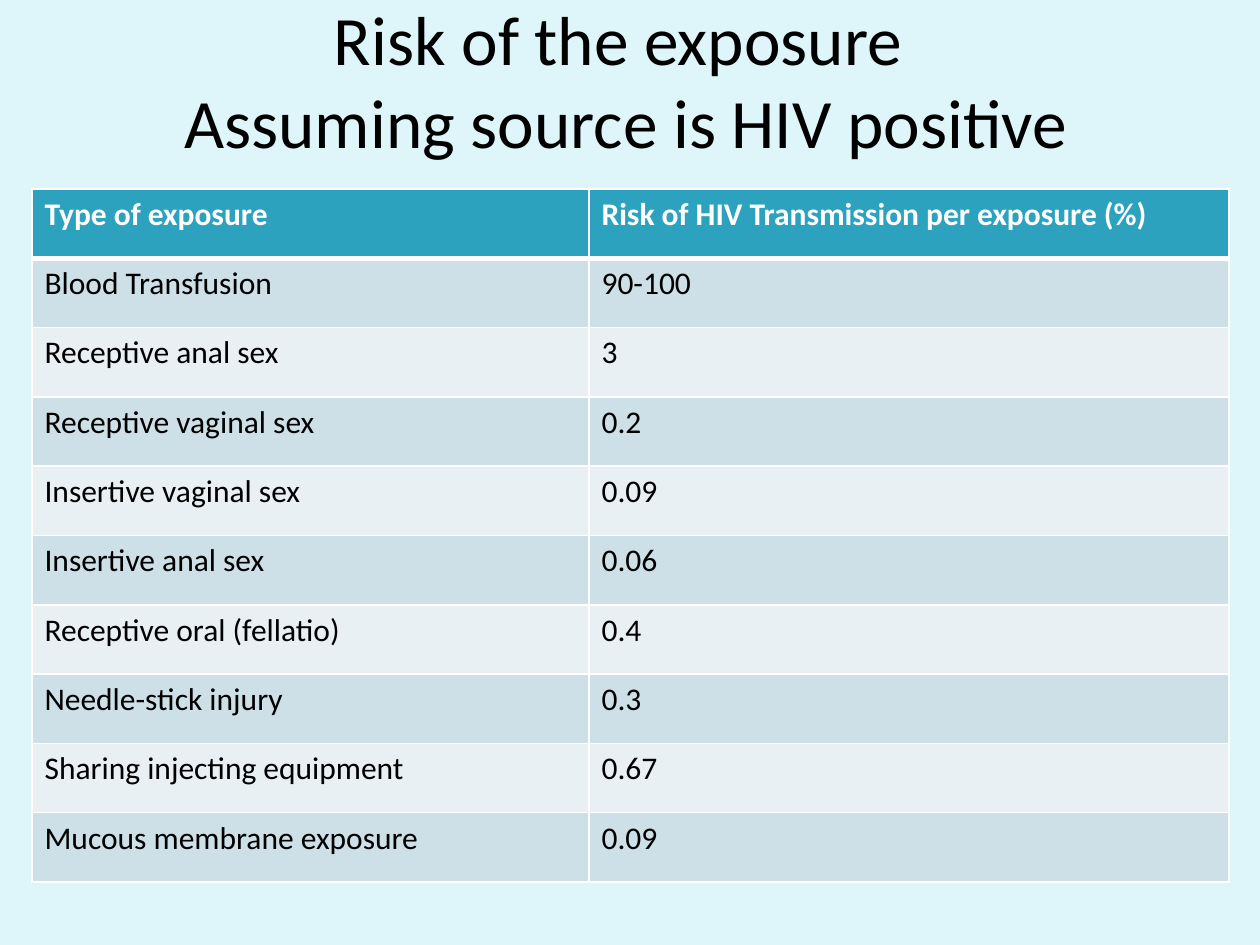
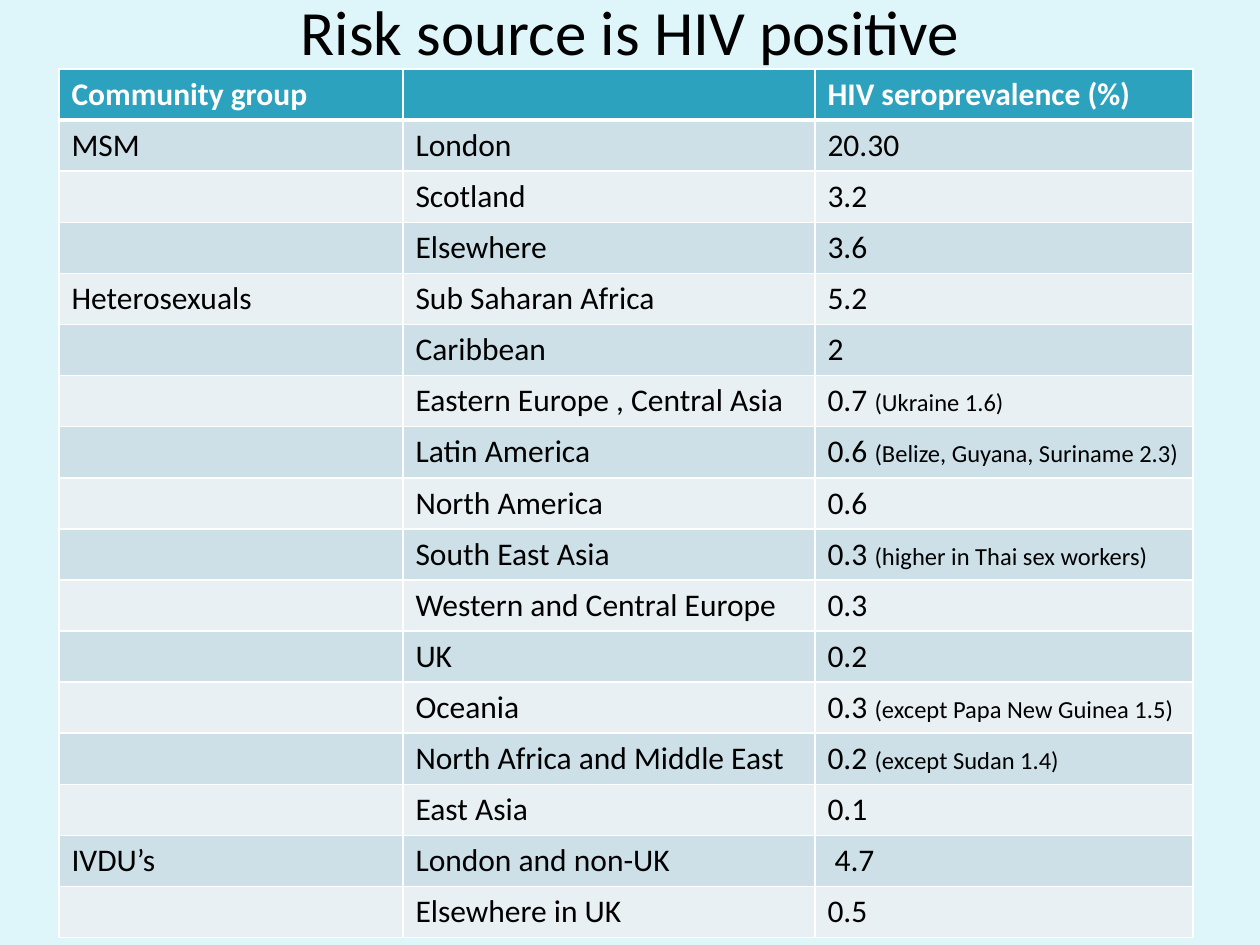
from lxml.etree import SubElement
from pptx import Presentation
from pptx.dml.color import RGBColor
from pptx.enum.text import MSO_ANCHOR, MSO_AUTO_SIZE, PP_ALIGN
from pptx.oxml.ns import qn
from pptx.util import Emu, Pt

FONT = "Calibri"
COLORS = {
    "background": "DEF5FA",
    "header": "2DA2BF",
    "odd_row": "CDE0E8",
    "even_row": "E8F0F4",
    "border": "FFFFFF",
    "header_text": "FFFFFF",
    "text": "000000",
}
CELL_SIZE, NOTE_SIZE = 18, 14
THIN, THICK = 1, 3

SLIDES = [
    {
        "title": ["Risk of the exposure ", "Assuming source is HIV positive"],
        "title_size": 39.6,
        "title_box": (59, 0, 1134, 158),
        "table_at": (32, 189),
        "table_height": 693,
        "columns": [557, 640],
        "rows": [
            ("Type of exposure", "Risk of HIV Transmission per exposure (%)"),
            ("Blood Transfusion", "90-100"),
            ("Receptive anal sex", "3"),
            ("Receptive vaginal sex", "0.2"),
            ("Insertive vaginal sex", "0.09"),
            ("Insertive anal sex", "0.06"),
            ("Receptive oral (fellatio)", "0.4"),
            ("Needle-stick injury", "0.3"),
            ("Sharing injecting equipment", "0.67"),
            ("Mucous membrane exposure", "0.09"),
        ],
    },
    {
        "title": ["Risk source is HIV positive"],
        "title_size": 36,
        "title_box": (63, -49, 1134, 158),
        "table_at": (59, 69),
        "table_height": 868,
        "columns": [344, 412, 378],
        "rows": [
            ("Community group", "", "HIV seroprevalence (%)"),
            ("MSM", "London", "20.30"),
            ("", "Scotland", "3.2"),
            ("", "Elsewhere", "3.6"),
            ("Heterosexuals", "Sub Saharan Africa", "5.2"),
            ("", "Caribbean", "2"),
            ("", "Eastern Europe , Central Asia", ("0.7 ", "(Ukraine 1.6)")),
            ("", "Latin America", ("0.6 ", "(Belize, Guyana, Suriname 2.3)")),
            ("", "North America", "0.6"),
            ("", "South East Asia", ("0.3 ", "(higher in Thai sex workers)")),
            ("", "Western and Central Europe", "0.3"),
            ("", "UK", "0.2"),
            ("", "Oceania", ("0.3 ", "(except Papa New Guinea 1.5)")),
            ("", "North Africa and Middle East", ("0.2 ", "(except Sudan 1.4)")),
            ("", "East Asia", "0.1"),
            ("IVDU’s", "London and non-UK", " 4.7"),
            ("", "Elsewhere in UK", "0.5"),
        ],
    },
]


def px(n):
    return Emu(round(n * 914400 / 126))


def color(name):
    return RGBColor.from_string(COLORS[name])


def add_run(p, text, size, color_name, bold=False):
    r = p.add_run()
    r.text = text
    r.font.name = FONT
    r.font.size = Pt(size)
    r.font.bold = bold
    r.font.color.rgb = color(color_name)


def add_title(s, lines, size, box):
    sp = s.shapes.title
    sp.left, sp.top, sp.width, sp.height = map(px, box)
    tf = sp.text_frame
    tf.word_wrap = True
    tf.auto_size = MSO_AUTO_SIZE.NONE
    tf.vertical_anchor = MSO_ANCHOR.MIDDLE
    p = tf.paragraphs[0]
    p.alignment = PP_ALIGN.CENTER
    for i, line in enumerate(lines):
        if i:
            p.add_line_break()
        add_run(p, line, size, "text")


def set_borders(cell, top, bottom):
    tc_pr = cell._tc.get_or_add_tcPr()
    for side, width in (("L", THIN), ("R", THIN), ("T", top), ("B", bottom)):
        ln = SubElement(tc_pr, qn(f"a:ln{side}"), w=str(Pt(width)))
        fill = SubElement(ln, qn("a:solidFill"))
        SubElement(fill, qn("a:srgbClr"), val=COLORS["border"])


def fill_cell(cell, content, row):
    header = row == 0
    set_borders(cell, THICK if row == 1 else THIN, THICK if header else THIN)
    cell.fill.solid()
    band = "odd_row" if row % 2 else "even_row"
    cell.fill.fore_color.rgb = color("header" if header else band)
    p = cell.text_frame.paragraphs[0]
    p.font.size = Pt(CELL_SIZE)
    parts = (content,) if isinstance(content, str) else content
    for text, size in zip(parts, (CELL_SIZE, NOTE_SIZE)):
        if text:
            add_run(p, text, size, "header_text" if header else "text", header)


def add_risk_table(s, at, columns, height, rows):
    left, top = at
    frame = s.shapes.add_table(len(rows), len(columns), px(left), px(top),
                               px(sum(columns)), px(height))
    table = frame.table
    for column, width in zip(table.columns, columns):
        column.width = px(width)
    for i, row in enumerate(rows):
        table.rows[i].height = px(height / len(rows))
        for j, content in enumerate(row):
            fill_cell(table.cell(i, j), content, i)


def main():
    prs = Presentation()
    prs.slide_width, prs.slide_height = px(1260), px(945)
    background = prs.slide_master.background.fill
    background.solid()
    background.fore_color.rgb = color("background")
    for d in SLIDES:
        s = prs.slides.add_slide(prs.slide_layouts[5])
        add_title(s, d["title"], d["title_size"], d["title_box"])
        add_risk_table(s, d["table_at"], d["columns"], d["table_height"], d["rows"])
    prs.save("out.pptx")


if __name__ == "__main__":
    main()
